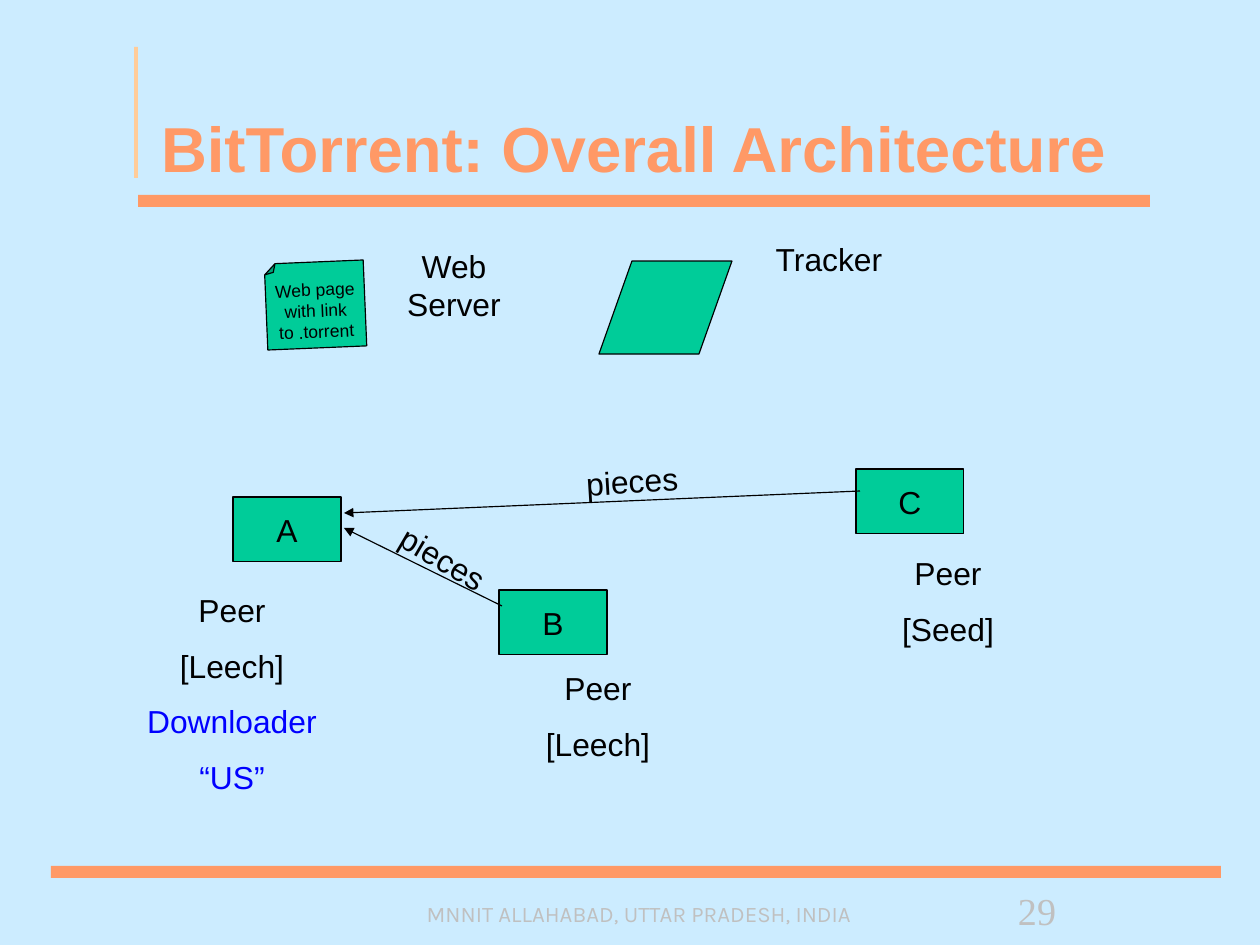
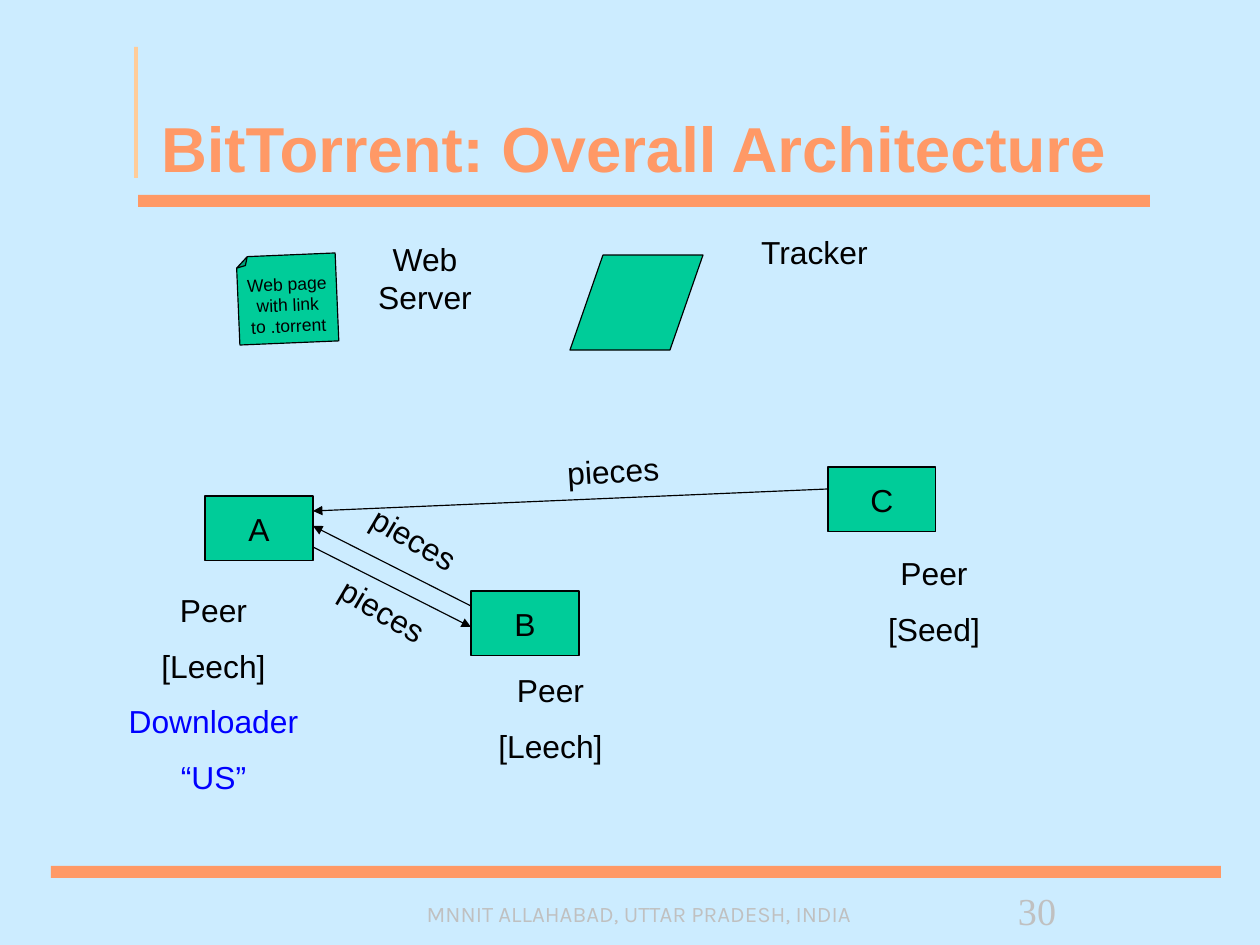
from lxml.etree import SubElement
from pptx import Presentation
from pptx.dml.color import RGBColor
from pptx.enum.shapes import MSO_CONNECTOR, MSO_SHAPE
from pptx.enum.text import MSO_ANCHOR, MSO_AUTO_SIZE, PP_ALIGN
from pptx.oxml.ns import qn
from pptx.util import Emu, Pt

SKY, ORANGE, PEACH, GREEN = "CCECFF", "FF9966", "FFCC99", "00CC99"
GREY, BLACK, BLUE = "C0C0C0", "000000", "0000FF"

TITLE = "BitTorrent: Overall Architecture"
FOOTER = "MNNIT ALLAHABAD, UTTAR PRADESH, INDIA"
WEB_PAGE = ["Web page", "with link", "to .torrent"]
BANDS = [  # box, colour
    ((51, 866, 1170, 12), ORANGE),
    ((138, 195, 1012, 12), ORANGE),
    ((134, 47, 4, 131), PEACH),
]
LEECH = [("Peer", BLACK), ("[Leech]", BLACK)]
SEED = [("Peer", BLACK), ("[Seed]", BLACK)]
US = LEECH + [("Downloader", BLUE), ("“US”", BLUE)]
WEB_SERVER = [("Web Server", BLACK)]
TRACKER = [("Tracker", BLACK)]
PIECES = [("pieces", BLACK)]
PEER_SIZE = (108, 65)
TRACKER_SLANT = 33
DOWNHILL, UPHILL = 30.5, -3.5  # tilt of the labels along the arrows

SLIDES = [
    {
        "number": "29",
        "web_page": (266, 262, 99, 86),
        "tracker": (599, 261, 133, 93),
        "peers": {"A": (233, 497), "B": (499, 590), "C": (856, 469)},
        "captions": [
            (US, (115, 584, 234, 222)),
            (SEED, (865, 547, 166, 107)),
            (LEECH, (499, 662, 198, 107)),
            (TRACKER, (741, 233, 176, 50)),
            (WEB_SERVER, (375, 240, 158, 89)),
        ],
        "transfers": [((502, 606), (344, 528)), ((860, 491), (344, 513))],
        "pieces": [((383, 539, 144, 50), DOWNHILL), ((573, 454, 137, 50), UPHILL)],
    },
    {
        "number": "30",
        "web_page": (238, 255, 99, 88),
        "tracker": (570, 255, 133, 95),
        "peers": {"A": (205, 496), "B": (471, 591), "C": (828, 467)},
        "captions": [
            (US, (106, 584, 215, 222)),
            (SEED, (837, 547, 194, 107)),
            (LEECH, (471, 664, 159, 107)),
            (TRACKER, (712, 226, 205, 50)),
            (WEB_SERVER, (346, 233, 158, 89)),
        ],
        "transfers": [
            ((313, 547), (471, 627)),
            ((471, 606), (313, 526)),
            ((828, 489), (313, 511)),
        ],
        "pieces": [
            ((354, 520, 146, 50), DOWNHILL),
            ((322, 593, 153, 50), DOWNHILL),
            ((554, 443, 159, 50), UPHILL),
        ],
    },
]


def px(*lengths):
    return [Emu(length * 8000) for length in lengths]


def rgb(value):
    return RGBColor.from_string(value)


def set_frame(frame, insets=(13, 7), anchor=MSO_ANCHOR.TOP, wrap=True):
    frame.auto_size = MSO_AUTO_SIZE.NONE
    frame.word_wrap = wrap
    frame.vertical_anchor = anchor
    frame.margin_left, frame.margin_top = px(*insets)
    frame.margin_right, frame.margin_bottom = px(*insets)


def write(frame, lines, size, font="Arial", align=PP_ALIGN.CENTER,
          bold=False, gap=0, spacing=None):
    """Write (text, colour) pairs as paragraphs, with gap points between them."""
    for index, (text, colour) in enumerate(lines):
        paragraph = frame.add_paragraph() if index else frame.paragraphs[0]
        paragraph.alignment = align
        paragraph.space_before = Pt(gap if index else 0)
        if spacing:
            paragraph.line_spacing = Pt(spacing)
        run = paragraph.add_run()
        run.text = text
        run.font.size, run.font.name, run.font.bold = Pt(size), font, bold
        run.font.color.rgb = rgb(colour)


def add_filled(slide, kind, box, fill, outlined=True):
    shape = slide.shapes.add_shape(kind, *px(*box))
    shape.shadow.inherit = False
    shape.fill.solid()
    shape.fill.fore_color.rgb = rgb(fill)
    if outlined:
        shape.line.color.rgb = rgb(BLACK)
        shape.line.width = Pt(0.75)
    else:
        shape.line.fill.background()
    return shape


def add_caption(slide, lines, box, align=PP_ALIGN.CENTER, tilt=0):
    caption = slide.shapes.add_textbox(*px(*box))
    caption.rotation = tilt
    set_frame(caption.text_frame)
    write(caption.text_frame, lines, 20, align=align, gap=11)


def add_arrow(slide, start, end):
    arrow = slide.shapes.add_connector(MSO_CONNECTOR.STRAIGHT, *px(*start, *end))
    arrow.line.color.rgb = rgb(BLACK)
    arrow.line.width = Pt(0.75)
    SubElement(arrow.line._get_or_add_ln(), qn("a:tailEnd"), type="triangle")
    SubElement(arrow._element.spPr, qn("a:effectLst"))


def add_base(prs, number):
    """Add a slide with the shared title, bands and footer."""
    slide = prs.slides.add_slide(prs.slide_layouts[5])
    for box, colour in BANDS:
        add_filled(slide, MSO_SHAPE.RECTANGLE, box, colour, outlined=False)

    title = slide.shapes.title
    title.left, title.top, title.width, title.height = px(143, 38, 1066, 151)
    set_frame(title.text_frame, (18, 0), MSO_ANCHOR.MIDDLE)
    write(title.text_frame, [(TITLE, ORANGE)], 40, align=PP_ALIGN.LEFT,
          bold=True, spacing=90)

    footer = slide.shapes.add_textbox(*px(135, 897, 1008, 36)).text_frame
    set_frame(footer, (11, 6), MSO_ANCHOR.BOTTOM)
    write(footer, [(FOOTER, GREY)], 14, "Karla", spacing=15.2)

    page = slide.shapes.add_textbox(*px(1018, 889, 45, 45)).text_frame
    set_frame(page, (0, 0), wrap=False)
    write(page, [(number, GREY)], 24, "Times New Roman", PP_ALIGN.LEFT, spacing=27.8)
    return slide


def add_architecture(slide, content):
    web_page = add_filled(slide, MSO_SHAPE.FOLDED_CORNER, content["web_page"], GREEN)
    fold = web_page._element.spPr.find(qn("a:prstGeom")).find(qn("a:avLst"))
    SubElement(fold, qn("a:gd"), name="adj", fmla="val 12500")
    web_page.rotation = 177.6
    set_frame(web_page.text_frame, anchor=MSO_ANCHOR.MIDDLE, wrap=False)
    web_page.text_frame._txBody.bodyPr.set("rot", str(180 * 60000))
    write(web_page.text_frame, [(line, BLACK) for line in WEB_PAGE], 11)

    tracker = add_filled(slide, MSO_SHAPE.PARALLELOGRAM, content["tracker"], GREEN)
    tracker.adjustments[0] = TRACKER_SLANT / content["tracker"][3]

    for name, corner in content["peers"].items():
        peer = add_filled(slide, MSO_SHAPE.RECTANGLE, corner + PEER_SIZE, GREEN)
        set_frame(peer.text_frame, anchor=MSO_ANCHOR.MIDDLE, wrap=False)
        write(peer.text_frame, [(name, BLACK)], 20)

    for lines, box in content["captions"]:
        add_caption(slide, lines, box)
    for start, end in content["transfers"]:
        add_arrow(slide, start, end)
    for box, tilt in content["pieces"]:
        add_caption(slide, PIECES, box, PP_ALIGN.LEFT, tilt)


def main():
    prs = Presentation()
    prs.slide_width, prs.slide_height = px(1260, 945)
    background = prs.slide_master.background.fill
    background.solid()
    background.fore_color.rgb = rgb(SKY)
    for content in SLIDES:
        add_architecture(add_base(prs, content["number"]), content)
    prs.save("out.pptx")


if __name__ == "__main__":
    main()
